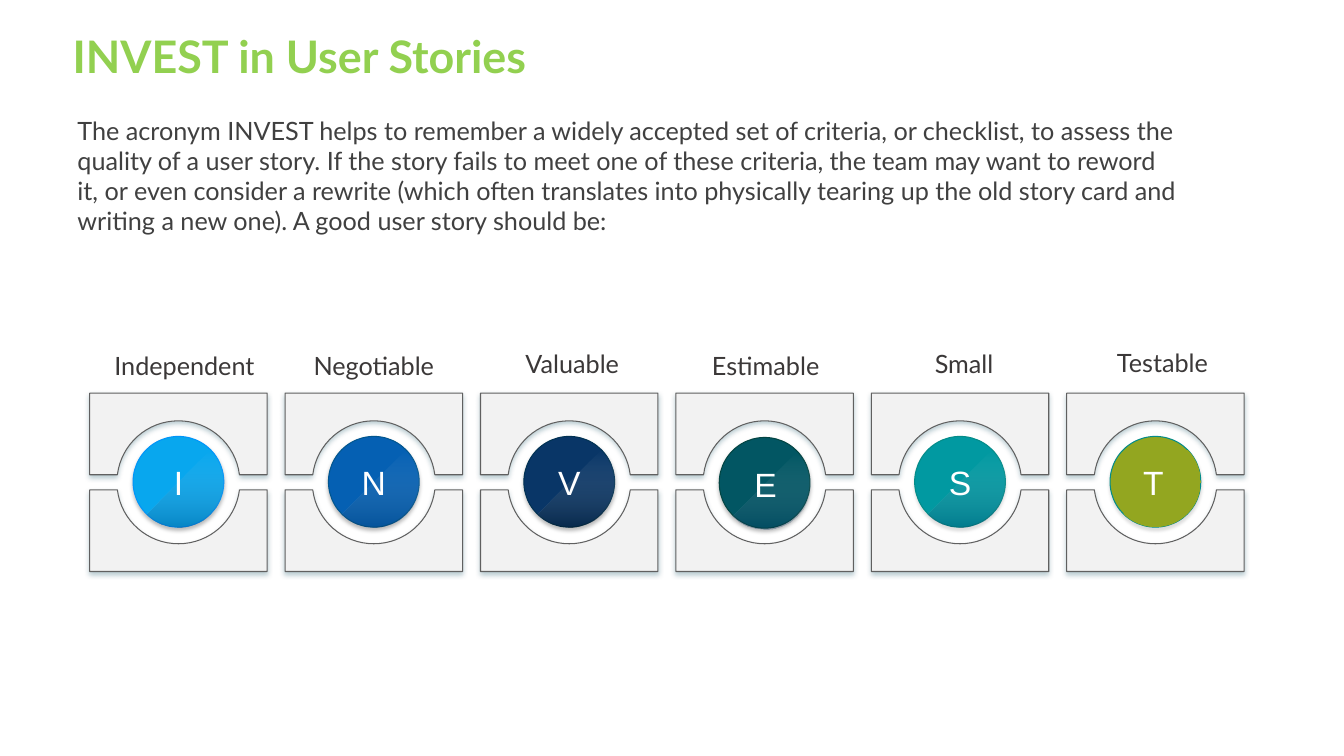
from dataclasses import dataclass
from itertools import pairwise
from math import asin, cos, degrees, radians, sin, tan
from typing import Any

from lxml import etree
from pptx import Presentation
from pptx.dml.color import RGBColor
from pptx.enum.shapes import MSO_SHAPE
from pptx.enum.text import MSO_ANCHOR, MSO_AUTO_SIZE, PP_ALIGN
from pptx.oxml.ns import qn
from pptx.util import Inches, Pt

OVAL = MSO_SHAPE.OVAL
LEFT, CENTER = PP_ALIGN.LEFT, PP_ALIGN.CENTER
TOP, MIDDLE = MSO_ANCHOR.TOP, MSO_ANCHOR.MIDDLE
GROW, FIXED = MSO_AUTO_SIZE.SHAPE_TO_FIT_TEXT, MSO_AUTO_SIZE.NONE

Point = tuple[float, float]
Box = tuple[float, float, float, float]


@dataclass(frozen=True)
class Theme:
    title: str = "92D050"
    body: str = "404040"
    label: str = "3B3838"
    letter: str = "FFFFFF"
    panel: str = "F2F2F2"
    panel_line: str = "606060"
    text_font: str = "Lato"
    letter_font: str = "Arial"
    title_size: float = 32
    letter_size: float = 24
    text_size: float = 18
    line_width: float = 0.75


@dataclass(frozen=True)
class Shadow:
    color: str
    opacity: int
    blur: float
    distance: float = 2


@dataclass(frozen=True)
class Gloss:
    """Vertical fade over the lower right half of a disc."""
    low: str = "01315D"
    low_opacity: int = 29
    high: str = "FFFFFF"
    high_opacity: int = 0


@dataclass(frozen=True)
class Criterion:
    word: str
    fill: str
    line: str
    shadow: Shadow
    label_shift: float = 0
    label_top: float = 3.48
    gloss: Gloss = Gloss()
    disc_drop: float = 0
    face_drop: float = 0
    letter_shift: float = 0


THEME = Theme()
SLIDE_W, SLIDE_H = 13.33, 7.5
PANEL_SHADOW = Shadow("00465B", 27, 4)
DEEP, SOFT = Shadow("000000", 27, 3), Shadow("000000", 13, 2)
CRITERIA = [
    Criterion("Independent", "08A7EE", "0195F9", DEEP, 0.06),
    Criterion("Negotiable", "0560B3", "01568F", DEEP),
    Criterion("Valuable", "093667", "013253", DEEP, 0.03, 3.46, Gloss("000C16", 35)),
    Criterion("Estimable", "025663", "034543", DEEP, 0.01,
              disc_drop=0.01, face_drop=0.02, letter_shift=0.01),
    Criterion("Small", "0199A1", "048C89", SOFT, 0.04, 3.46),
    Criterion("Testable", "93A620", "048C89", SOFT, 0.07, 3.45,
              Gloss("93A620", 100, "93A620", 100), letter_shift=-0.02),
]
# Grid: one column per criterion, two half panels around a slit
GRID_LEFT, GRID_RIGHT, GRID_TOP = 0.89, 12.34, 3.9
PANEL_W, PANEL_H, SLIT = 1.76, 0.81, 0.15
COLUMN_PITCH = (GRID_RIGHT - GRID_LEFT - PANEL_W) / (len(CRITERIA) - 1)
RING_Y, RING_RADIUS = GRID_TOP + PANEL_H + SLIT / 2, 0.61
DISC_Y, DISC_RADIUS = 4.78, 0.45
LABEL_W, LABEL_H, LETTER_W, LETTER_H = 1.4, 0.21, 0.89, 0.5
INTRO = (
    "The acronym INVEST helps to remember a widely accepted set of criteria, or "
    "checklist, to assess the quality of a user story. If the story fails to meet one "
    "of these criteria, the team may want to reword it, or even consider a rewrite "
    "(which often translates into physically tearing up the old story card and writing "
    "a new one). A good user story should be:"
)


def apply(target: Any, values: dict[str, Any]) -> None:
    for name, value in values.items():
        setattr(target, name, value)


def write(shape: Any, text: str, size: float, color: str, font: str, *,
          align: Any = LEFT, anchor: Any = TOP, fit: Any = FIXED,
          inset: Box = (0.1, 0.05, 0.1, 0.05), bold: bool = False,
          spacing: float = 1.0) -> None:
    left, top, right, bottom = map(Inches, inset)
    frame = shape.text_frame
    apply(frame, {"text": text, "word_wrap": True, "auto_size": fit,
                  "vertical_anchor": anchor, "margin_left": left, "margin_top": top,
                  "margin_right": right, "margin_bottom": bottom})
    paragraph = frame.paragraphs[0]
    apply(paragraph, {"alignment": align, "line_spacing": spacing})
    run_font = paragraph.runs[0].font
    apply(run_font, {"size": Pt(size), "name": font, "bold": bold})
    run_font.color.rgb = RGBColor.from_string(color)


def paint(shape: Any, fill: str, line: str, shadow: Shadow) -> None:
    shape.fill.solid()
    shape.fill.fore_color.rgb = RGBColor.from_string(fill)
    shape.line.color.rgb = RGBColor.from_string(line)
    shape.line.width = Pt(THEME.line_width)
    shape.shadow.inherit = False
    effects = shape._element.spPr.find(qn("a:effectLst"))
    outer = etree.SubElement(effects, qn("a:outerShdw"), {
        "blurRad": str(Pt(shadow.blur)), "dist": str(Pt(shadow.distance)),
        "dir": "5400000", "algn": "t", "rotWithShape": "0"})
    color = etree.SubElement(outer, qn("a:srgbClr"), val=shadow.color)
    etree.SubElement(color, qn("a:alpha"), val=str(shadow.opacity * 1000))


def add_arc_outline(shapes: Any, center: Point, radius: float, stops: list[float],
                    corners: list[Point]) -> Any:
    """Curve through the stop angles, then straight edges through the corners."""
    cx, cy = center
    angles = [radians(stop) for stop in stops]
    on_arc = [(cx + radius * cos(a), cy + radius * sin(a)) for a in angles]
    points = [(Inches(x), Inches(y)) for x, y in on_arc + corners]
    builder = shapes.build_freeform(*points[0], scale=1.0)
    builder.add_line_segments(points[1:], close=True)
    outline = builder.convert_to_shape()

    edges = list(outline._element.spPr.iter(qn("a:lnTo")))
    for edge, (a, b), ((ax, ay), (bx, by)) in zip(edges, pairwise(angles), pairwise(on_arc)):
        reach = 4 / 3 * tan((b - a) / 4) * radius
        handles = [(ax - reach * sin(a), ay + reach * cos(a)),
                   (bx + reach * sin(b), by - reach * cos(b))]
        edge.tag = qn("a:cubicBezTo")
        for index, (x, y) in enumerate(handles):
            edge.insert(index, etree.Element(
                qn("a:pt"), x=str(Inches(x) - outline.left), y=str(Inches(y) - outline.top)))
    return outline


def add_panel(shapes: Any, cx: float, side: int) -> None:
    """Half a frame: side -1 lies above the slit, 1 below it."""
    inner = RING_Y + side * SLIT / 2
    outer = inner + side * PANEL_H
    left, right = cx - PANEL_W / 2, cx + PANEL_W / 2
    tilt = degrees(asin(SLIT / 2 / RING_RADIUS))
    stops = [side * angle for angle in (180 - tilt, 90, tilt)]
    corners = [(right, inner), (right, outer), (left, outer), (left, inner)]
    panel = add_arc_outline(shapes, (cx, RING_Y), RING_RADIUS, stops, corners)
    paint(panel, THEME.panel, THEME.panel_line, PANEL_SHADOW)


def add_gloss(shapes: Any, cx: float, cy: float, gloss: Gloss) -> None:
    half_disc = add_arc_outline(shapes, (cx, cy), DISC_RADIUS, [-45, 0, 90, 135], [])
    half_disc.shadow.inherit = False
    half_disc.fill.gradient()
    half_disc.fill.gradient_angle = 90
    for stop, color in zip(half_disc.fill.gradient_stops, (gloss.low, gloss.high)):
        stop.color.rgb = RGBColor.from_string(color)
    opacities = (gloss.low_opacity, gloss.high_opacity)
    for color, opacity in zip(half_disc._element.spPr.iter(qn("a:srgbClr")), opacities):
        etree.SubElement(color, qn("a:alpha"), val=str(opacity * 1000))
    half_disc.line.fill.background()


def add_text(shapes: Any, box: Box, *args: Any, **options: Any) -> None:
    write(shapes.add_textbox(*map(Inches, box)), *args, **options)


def add_criterion(shapes: Any, cx: float, item: Criterion) -> None:
    for side in (-1, 1):
        add_panel(shapes, cx, side)
    disc_box = (cx - DISC_RADIUS, DISC_Y + item.disc_drop - DISC_RADIUS,
                2 * DISC_RADIUS, 2 * DISC_RADIUS)
    paint(shapes.add_shape(OVAL, *map(Inches, disc_box)), item.fill, item.line, item.shadow)
    face_y = DISC_Y + item.face_drop
    add_gloss(shapes, cx, face_y, item.gloss)
    letter_box = (cx - LETTER_W / 2 + item.letter_shift, face_y - LETTER_H / 2,
                  LETTER_W, LETTER_H)
    add_text(shapes, letter_box, item.word[0], THEME.letter_size, THEME.letter,
             THEME.letter_font, align=CENTER, anchor=MIDDLE, fit=GROW)
    label_box = (cx - LABEL_W / 2 + item.label_shift, item.label_top, LABEL_W, LABEL_H)
    add_text(shapes, label_box, item.word, THEME.text_size, THEME.label,
             THEME.text_font, align=CENTER, inset=(0, 0, 0, 0))


def main() -> None:
    deck = Presentation()
    apply(deck, {"slide_width": Inches(SLIDE_W), "slide_height": Inches(SLIDE_H)})
    shapes = deck.slides.add_slide(deck.slide_layouts[5]).shapes
    # Title and introduction
    apply(shapes.title, {"left": Inches(0.67), "top": Inches(0.26),
                         "width": Inches(SLIDE_W - 0.67), "height": Inches(0.68)})
    write(shapes.title, "INVEST in User Stories", THEME.title_size, THEME.title,
          THEME.text_font, anchor=MIDDLE, inset=(0.05,) * 4, bold=True, spacing=0.8)
    add_text(shapes, (0.67, 1.09, 11.1, 1.31), INTRO, THEME.text_size, THEME.body,
             THEME.text_font, fit=GROW)
    # Six criteria
    for column, item in enumerate(CRITERIA):
        add_criterion(shapes, GRID_LEFT + PANEL_W / 2 + column * COLUMN_PITCH, item)
    deck.save("out.pptx")


if __name__ == "__main__":
    main()
